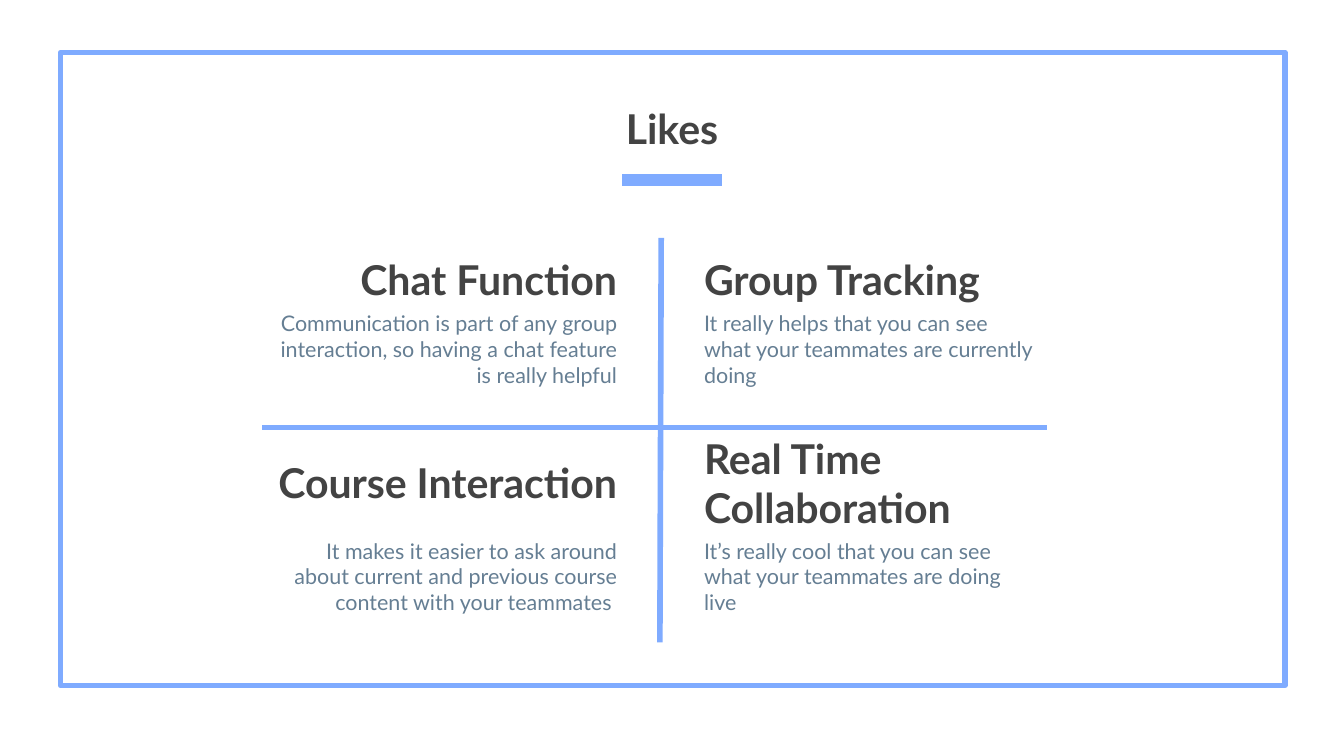
"""Build the "Likes" slide: four features around a cross inside a frame."""
from dataclasses import dataclass

from lxml.etree import SubElement
from pptx import Presentation
from pptx.dml.color import RGBColor
from pptx.enum.shapes import MSO_CONNECTOR as Connector, MSO_SHAPE as Shape
from pptx.enum.text import MSO_ANCHOR as Anchor, PP_ALIGN as Align
from pptx.oxml.ns import qn
from pptx.util import Inches, Pt


@dataclass(frozen=True)
class Theme:
    font: str = "Lato"
    accent: RGBColor = RGBColor(0x7F, 0xAB, 0xFF)
    heading: RGBColor = RGBColor(0x43, 0x43, 0x43)
    body: RGBColor = RGBColor(0x65, 0x7E, 0x93)
    heading_size: float = 22
    body_size: float = 11.5
    rule: float = 3
    bar: float = 6


@dataclass(frozen=True)
class Box:
    col: float
    row: float
    cols: float
    rows: float

    def emu(self) -> list[int]:
        return [cell(n) for n in (self.col, self.row, self.cols, self.rows)]


@dataclass(frozen=True)
class Rule:
    start: tuple[float, float]
    end: tuple[float, float]
    weight: float


@dataclass(frozen=True)
class Feature:
    name: str
    detail: str
    align: Align
    row: float
    name_span: tuple[float, float]
    detail_span: tuple[float, float]
    detail_drop: float


COLS, ROWS = 100, 56.25
THEME = Theme()
FRAME = Box(4.5, 3.9, 91.1, 47.1)
TITLE = Box(0, 2.4, COLS, 10)
NAME_ROWS, DETAIL_ROWS = 6.2, 7.1
TOP, BOTTOM = 17.7, 32.8
TOP_DROP, BOTTOM_DROP = 4.4, 6.2
LEFT, RIGHT = (19.5, 27.4), (51.4, 26.5)

RULES = [
    Rule((46.3, 13.4), (53.7, 13.4), THEME.bar),
    Rule((49.2, 17.7), (49.1, 47.8), THEME.rule),
    Rule((77.9, 31.8), (19.5, 31.8), THEME.rule),
]
FEATURES = [
    Feature("Chat Function",
            "Communication is part of any group interaction, so having a chat feature is really helpful",
            Align.RIGHT, TOP, LEFT, LEFT, TOP_DROP),
    Feature("Group Tracking",
            "It really helps that you can see what your teammates are currently doing",
            Align.LEFT, TOP, (51.4, 37.6), RIGHT, TOP_DROP),
    Feature("Course Interaction",
            "It makes it easier to ask around about current and previous course content with your teammates ",
            Align.RIGHT, BOTTOM, (17.5, 29.4), LEFT, BOTTOM_DROP),
    Feature("Real Time Collaboration",
            "It’s really cool that you can see what your teammates are doing live",
            Align.LEFT, BOTTOM, (51.4, 27.4), RIGHT, BOTTOM_DROP),
]


def cell(count: float) -> int:
    """Turn a number of grid cells into a length."""
    return Inches(count / 10)


def draw_frame(slide, box: Box) -> None:
    """Draw the round-jointed outline around the slide."""
    sp = slide.shapes.add_shape(Shape.RECTANGLE, *box.emu())
    sp.shadow.inherit = False
    sp.fill.background()
    sp.line.color.rgb = THEME.accent
    sp.line.width = Pt(THEME.rule)
    SubElement(sp.line._get_or_add_ln(), qn("a:round"))


def draw_rule(slide, rule: Rule) -> None:
    """Draw one straight accent line."""
    ends = [cell(n) for n in (*rule.start, *rule.end)]
    line = slide.shapes.add_connector(Connector.STRAIGHT, *ends)
    line.line.color.rgb = THEME.accent
    line.line.width = Pt(rule.weight)
    SubElement(line._element.spPr, qn("a:effectLst"))


def draw_text(slide, box: Box, text: str, align: Align, anchor: Anchor,
              heading: bool = True) -> None:
    """Write one paragraph in heading or body style."""
    tf = slide.shapes.add_textbox(*box.emu()).text_frame
    tf.word_wrap = True
    tf.vertical_anchor = anchor
    tf.margin_left = tf.margin_right = tf.margin_top = tf.margin_bottom = cell(1)
    p = tf.paragraphs[0]
    p.alignment = align
    r = p.add_run()
    r.text = text
    r.font.name = THEME.font
    r.font.bold = heading
    r.font.size = Pt(THEME.heading_size if heading else THEME.body_size)
    r.font.color.rgb = THEME.heading if heading else THEME.body


def draw_feature(slide, feature: Feature) -> None:
    """Write a feature's name with its detail below."""
    col, cols = feature.name_span
    draw_text(slide, Box(col, feature.row, cols, NAME_ROWS),
              feature.name, feature.align, Anchor.MIDDLE)
    col, cols = feature.detail_span
    draw_text(slide, Box(col, feature.row + feature.detail_drop, cols, DETAIL_ROWS),
              feature.detail, feature.align, Anchor.TOP, heading=False)


def main() -> None:
    """Assemble and save the slide."""
    prs = Presentation()
    prs.slide_width, prs.slide_height = cell(COLS), cell(ROWS)
    slide = prs.slides.add_slide(prs.slide_layouts[6])
    draw_frame(slide, FRAME)
    draw_text(slide, TITLE, "Likes", Align.CENTER, Anchor.BOTTOM)
    for rule in RULES:
        draw_rule(slide, rule)
    for feature in FEATURES:
        draw_feature(slide, feature)
    prs.save("out.pptx")


if __name__ == "__main__":
    main()
